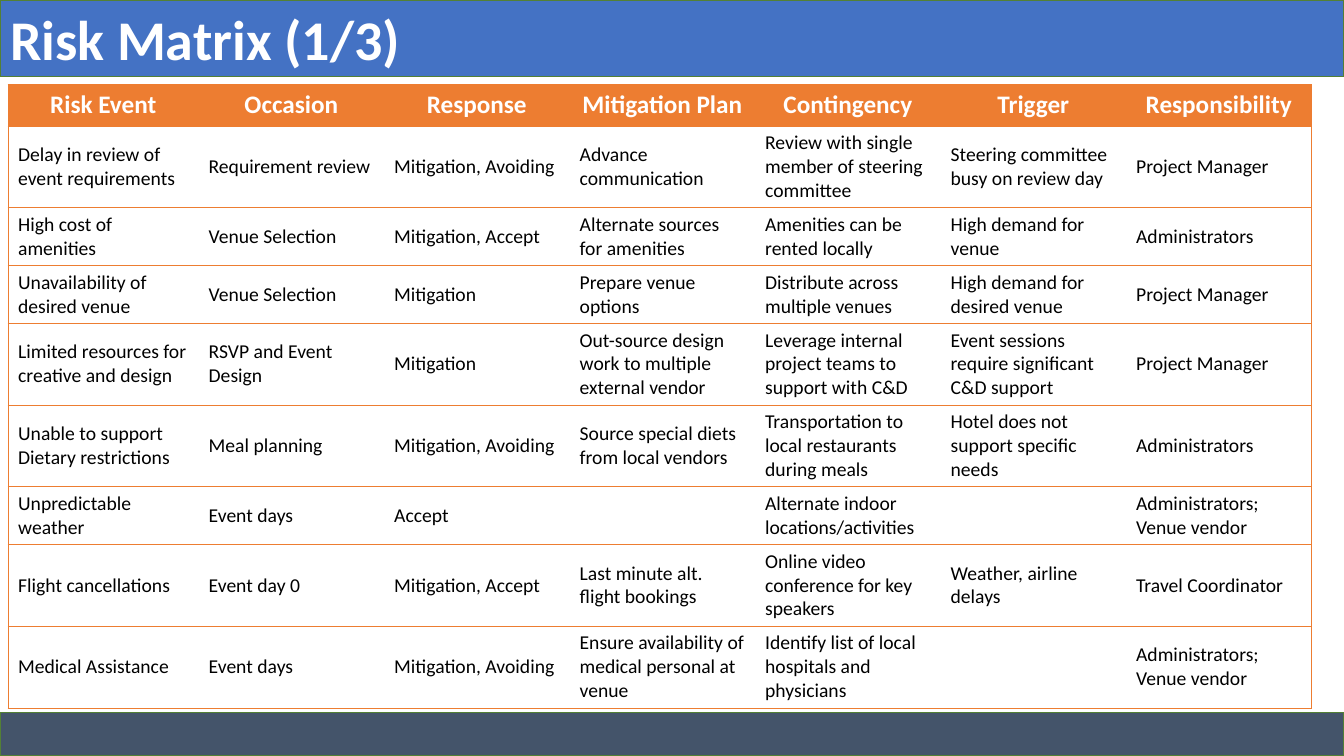
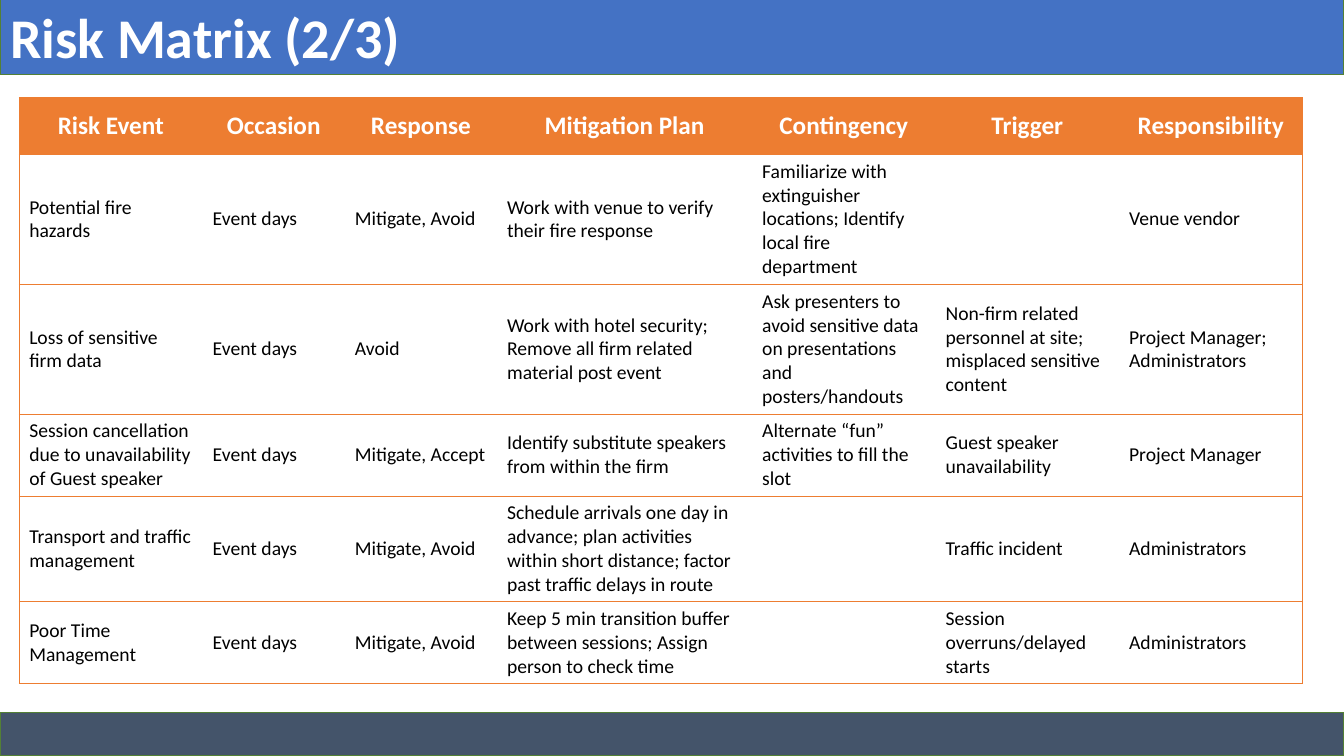
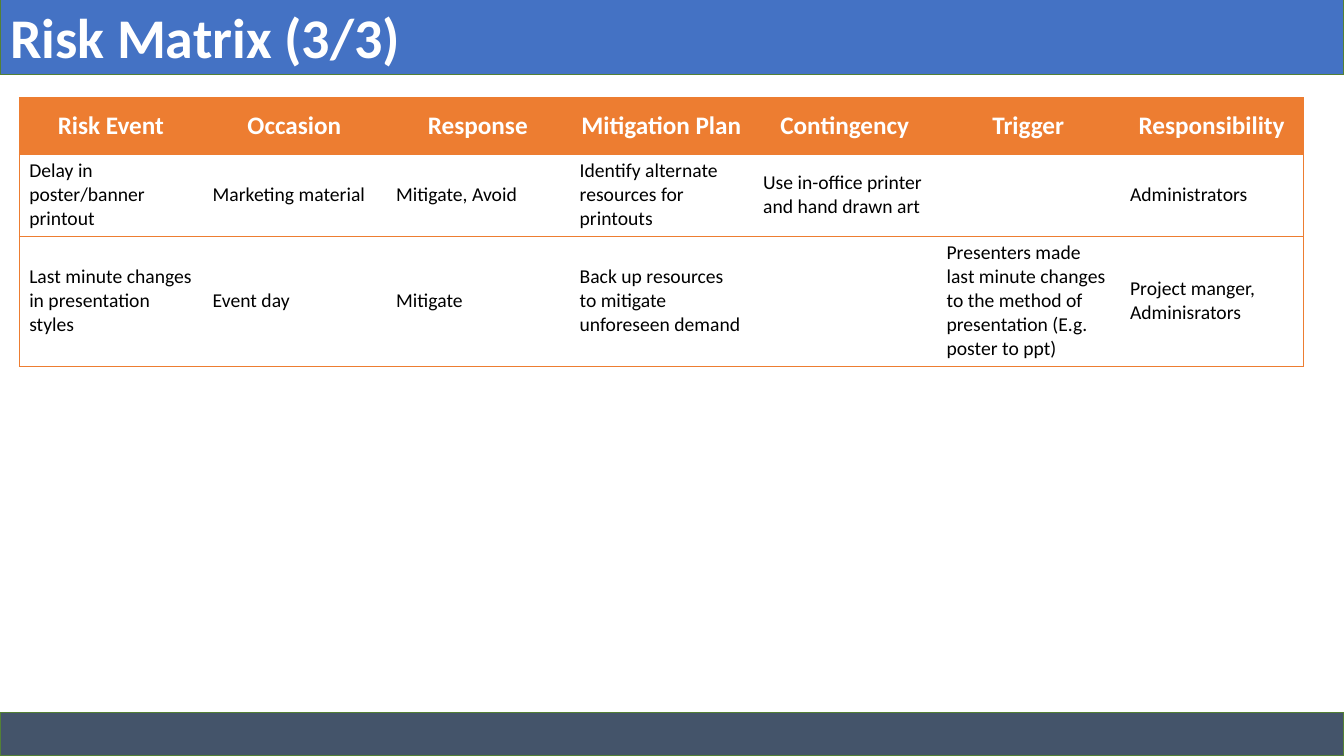
"""Build the three risk matrix slides."""
import pptx
import pptx.util
import pptx.dml.color
import pptx.enum.shapes
import pptx.enum.text
import pptx.oxml
import pptx.oxml.ns

Inches, Pt = pptx.util.Inches, pptx.util.Pt
ALIGN = pptx.enum.text.PP_ALIGN
MIDDLE = pptx.enum.text.MSO_ANCHOR.MIDDLE

COLORS = {"title": "4472C4", "footer": "44546A", "outline": "538035",
          "accent": "ED7D31", "light": "FFFFFF", "dark": "000000"}
FONTS = {
    "title": {"name": "Calibri", "size": Pt(40), "bold": True},
    "header": {"name": "Calibri", "size": Pt(18), "bold": True},
    "body": {"name": "Calibri", "size": Pt(14), "bold": False},
}
PLAIN_TABLE = "{2D5ABB26-0587-4C30-8999-92F81FD0307C}"
WIDTH, HEIGHT = 13.33, 7.5
BAND_HEIGHT, FOOTER_HEIGHT = 0.76, 0.43

HEADERS = ["Risk Event", "Occasion", "Response", "Mitigation Plan",
           "Contingency", "Trigger", "Responsibility"]
SLIDES = [
    {
        "title": "Risk Matrix (1/3)", "band_top": 0, "at": (0.08, 0.84),
        "cols": [1.89] + [1.84] * 6, "header_height": 0.41,
        "lines": [3, 2, 2, 3, 3, 2, 3, 3],
        "rows": [
            ["Delay in review of event requirements", "Requirement review",
             "Mitigation, Avoiding", "Advance communication",
             "Review with single member of steering committee",
             "Steering committee busy on review day", "Project Manager"],
            ["High cost of amenities", "Venue Selection", "Mitigation, Accept",
             "Alternate sources for amenities", "Amenities can be rented locally",
             "High demand for venue", "Administrators"],
            ["Unavailability of desired venue", "Venue Selection", "Mitigation",
             "Prepare venue options", "Distribute across multiple venues",
             "High demand for desired venue", "Project Manager"],
            ["Limited resources for creative and design", "RSVP and Event Design",
             "Mitigation", "Out-source design work to multiple external vendor",
             "Leverage internal project teams to support with C&D",
             "Event sessions require significant C&D support", "Project Manager"],
            ["Unable to support Dietary restrictions", "Meal planning",
             "Mitigation, Avoiding", "Source special diets from local vendors",
             "Transportation to local restaurants during meals",
             "Hotel does not support specific needs", "Administrators"],
            ["Unpredictable weather", "Event days", "Accept", "",
             "Alternate indoor locations/activities", "",
             "Administrators; Venue vendor"],
            ["Flight cancellations", "Event day 0", "Mitigation, Accept",
             "Last minute alt. flight bookings",
             "Online video conference for key speakers",
             "Weather, airline delays", "Travel Coordinator"],
            ["Medical Assistance", "Event days", "Mitigation, Avoiding",
             "Ensure availability of medical personal at venue",
             "Identify list of local hospitals and physicians", "",
             "Administrators; Venue vendor"],
        ],
    },
    {
        "title": "Risk Matrix (2/3)", "band_top": -0.02, "at": (0.19, 0.97),
        "cols": [1.82, 1.41, 1.51, 2.53, 1.82, 1.82, 1.82], "header_height": 0.56,
        "lines": [5, 5, 3, 4, 3],
        "rows": [
            ["Potential fire hazards", "Event days", "Mitigate, Avoid",
             "Work with venue to verify their fire response",
             "Familiarize with extinguisher locations; Identify local fire department",
             "", "Venue vendor"],
            ["Loss of sensitive firm data", "Event days", "Avoid",
             "Work with hotel security; Remove all firm related material post event",
             "Ask presenters to avoid sensitive data on presentations and posters/handouts",
             "Non-firm related personnel at site; misplaced sensitive content",
             "Project Manager; Administrators"],
            ["Session cancellation due to unavailability of Guest speaker",
             "Event days", "Mitigate, Accept",
             "Identify substitute speakers from within the firm",
             "Alternate “fun” activities to fill the slot",
             "Guest speaker unavailability", "Project Manager"],
            ["Transport and traffic management", "Event days", "Mitigate, Avoid",
             "Schedule arrivals one day in advance; plan activities within short "
             "distance; factor past traffic delays in route",
             "", "Traffic incident", "Administrators"],
            ["Poor Time Management", "Event days", "Mitigate, Avoid",
             "Keep 5 min transition buffer between sessions; Assign person to check time",
             "", "Session overruns/delayed starts", "Administrators"],
        ],
    },
    {
        "title": "Risk Matrix (3/3)", "band_top": -0.02, "at": (0.19, 0.97),
        "cols": [1.82] * 7, "header_height": 0.56, "lines": [3, 5],
        "rows": [
            ["Delay in poster/banner printout", "Marketing material",
             "Mitigate, Avoid", "Identify alternate resources for printouts",
             "Use in-office printer and hand drawn art", "", "Administrators"],
            ["Last minute changes in presentation styles", "Event day", "Mitigate",
             "Back up resources to mitigate unforeseen demand", "",
             "Presenters made last minute changes to the method of presentation "
             "(E.g. poster to ppt)", "Project manger, Adminisrators"],
        ],
    },
]


def rgb(name):
    return pptx.dml.color.RGBColor.from_string(COLORS[name])


def write(tf, text, style, color, align):
    p = tf.paragraphs[0]
    p.alignment = align
    r = p.add_run()
    r.text = text
    for key, value in FONTS[style].items():
        setattr(r.font, key, value)
    r.font.color.rgb = rgb(color)


def style_band(sp, top, height, fill):
    places = {"left": 0, "top": Inches(top),
              "width": Inches(WIDTH), "height": Inches(height)}
    for key, value in places.items():
        setattr(sp, key, value)
    sp.shadow.inherit = False
    sp.fill.solid()
    sp.fill.fore_color.rgb = rgb(fill)
    sp.line.color.rgb = rgb("outline")
    sp.line.width = Pt(1)


def add_bands(s, title, top):
    sp = s.shapes.title
    style_band(sp, top, BAND_HEIGHT, "title")
    tf = sp.text_frame
    tf.vertical_anchor = MIDDLE
    tf.auto_size = pptx.enum.text.MSO_AUTO_SIZE.NONE
    write(tf, title, "title", "light", ALIGN.LEFT)
    footer = s.shapes.add_shape(pptx.enum.shapes.MSO_SHAPE.RECTANGLE, 0, 0, 0, 0)
    style_band(footer, HEIGHT - FOOTER_HEIGHT, FOOTER_HEIGHT, "footer")


def add_borders(cell, sides):
    tc_pr = cell._tc.get_or_add_tcPr()
    for side in sides:
        tc_pr.append(pptx.oxml.parse_xml(
            f'<a:ln{side} {pptx.oxml.ns.nsdecls("a")} w="{Pt(0.5)}"><a:solidFill>'
            f'<a:srgbClr val="{COLORS["accent"]}"/></a:solidFill></a:ln{side}>'))


def add_matrix(s, data):
    rows = [HEADERS] + data["rows"]
    cols = data["cols"]
    heights = [data["header_height"]] + [0.09 + 0.24 * n for n in data["lines"]]
    left, top = data["at"]
    frame = s.shapes.add_table(len(rows), len(cols), Inches(left), Inches(top),
                               Inches(sum(cols)), Inches(sum(heights)))
    table = frame.table
    table.first_row = table.horz_banding = False
    table._tbl.tblPr.find(pptx.oxml.ns.qn("a:tableStyleId")).text = PLAIN_TABLE
    for col, width in zip(table.columns, cols):
        col.width = Inches(width)
    for i, (texts, height) in enumerate(zip(rows, heights)):
        table.rows[i].height = Inches(height)
        for j, text in enumerate(texts):
            cell = table.cell(i, j)
            cell.vertical_anchor = MIDDLE
            sides = ("L" if j == 0 else "") + ("R" if j == len(cols) - 1 else "")
            add_borders(cell, sides + "TB")
            if i == 0:
                cell.fill.solid()
                cell.fill.fore_color.rgb = rgb("accent")
                write(cell.text_frame, text, "header", "light", ALIGN.CENTER)
            else:
                cell.fill.background()
                if text:
                    write(cell.text_frame, text, "body", "dark", ALIGN.LEFT)


def main():
    prs = pptx.Presentation()
    prs.slide_width, prs.slide_height = Inches(WIDTH), Inches(HEIGHT)
    for data in SLIDES:
        s = prs.slides.add_slide(prs.slide_layouts[5])
        add_bands(s, data["title"], data["band_top"])
        add_matrix(s, data)
    prs.save("out.pptx")


if __name__ == "__main__":
    main()
